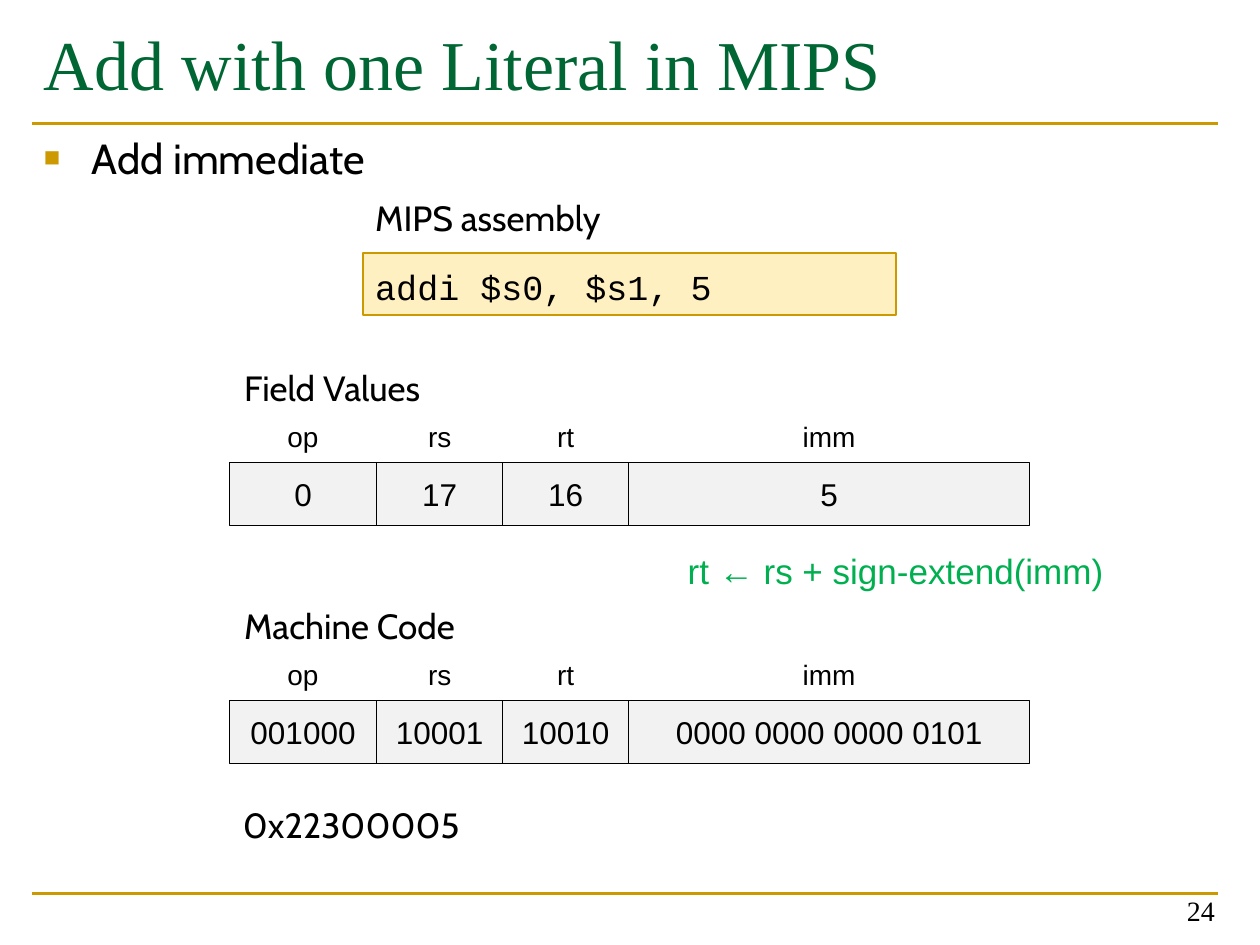
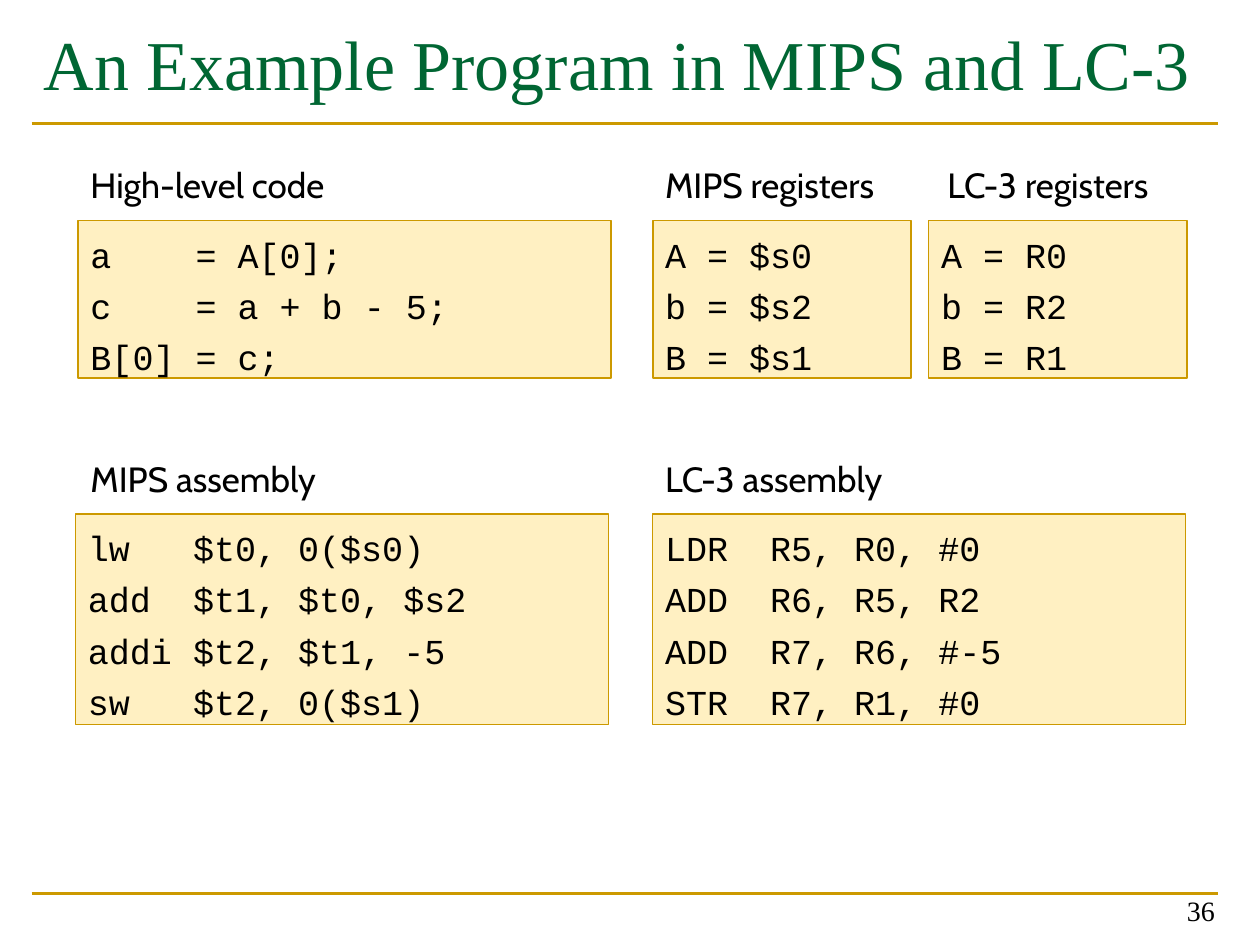
from dataclasses import dataclass
from itertools import accumulate
from lxml import etree
from pptx import Presentation
from pptx.dml.color import RGBColor
from pptx.enum import shapes, text
from pptx.oxml.ns import qn
from pptx.util import Inches, Pt


@dataclass(frozen=True)
class Theme:
    green: str = "006633"
    gold: str = "CC9900"
    cream: str = "FFF0C2"
    grey: str = "F2F2F2"
    note: str = "00B050"
    ink: str = "000000"
    serif: str = "Times New Roman"
    label: str = "Cabin"
    sans: str = "Arial"
    mono: str = "Courier New"
    title_size: float = 40
    lead_size: float = 24
    body_size: float = 20
    value_size: float = 18
    small_size: float = 16
    line_gap: float = 5.3
    code_inset: float = 0.1
    lead_inset: float = 0.05


THEME = Theme()
FIELD_NAMES = ("op", "rs", "rt", "imm")
FIELD_WIDTHS = (1.17, 1, 1, 3.18)
LEFT, MIDDLE, RIGHT = text.PP_ALIGN.LEFT, text.PP_ALIGN.CENTER, text.PP_ALIGN.RIGHT
TOP, CENTRE, BOTTOM = text.MSO_ANCHOR.TOP, text.MSO_ANCHOR.MIDDLE, text.MSO_ANCHOR.BOTTOM


def colour(value):
    return RGBColor.from_string(value)


def assign(target, values):
    for name, value in values.items():
        setattr(target, name, value)


def write(box, lines, font, size, ink=THEME.ink, align=LEFT, anchor=TOP, inset=0.05, wrap=True):
    frame = box.text_frame
    assign(frame, {"word_wrap": wrap, "vertical_anchor": anchor, "margin_top": Inches(inset)})
    for index, line in enumerate(lines):
        para = frame.paragraphs[0] if index == 0 else frame.add_paragraph()
        para.alignment = align
        if index:
            para.space_before = Pt(THEME.line_gap)
        span = para.add_run()
        span.text = line
        assign(span.font, {"name": font, "size": Pt(size)})
        span.font.color.rgb = colour(ink)


def add_text(page, place, line, font, size, **style):
    box = page.shapes.add_textbox(*map(Inches, place))
    write(box, [line], font, size, **style)
    return box


def add_panel(page, place, fill, border, weight):
    panel = page.shapes.add_shape(shapes.MSO_SHAPE.RECTANGLE, *map(Inches, place))
    panel.shadow.inherit = False
    panel.fill.solid()
    panel.fill.fore_color.rgb = colour(fill)
    panel.line.color.rgb = colour(border)
    panel.line.width = Pt(weight)
    return panel


def add_rule(page, top):
    ends = map(Inches, (0.25, top, 9.67, top))
    rule = page.shapes.add_connector(shapes.MSO_CONNECTOR.STRAIGHT, *ends)
    rule.line.color.rgb = colour(THEME.gold)
    rule.line.width = Pt(1.5)
    etree.SubElement(rule._element.spPr, qn("a:effectLst"))


def add_page(deck, title, number):
    page = deck.slides.add_slide(deck.slide_layouts[6])
    for top in (7.09, 0.98):
        add_rule(page, top)
    add_text(page, (0.25, 0, 9.42, 1), title, THEME.serif, THEME.title_size,
             ink=THEME.green, anchor=CENTRE)
    add_text(page, (7.41, 6.91, 2.33, 0.5), number, THEME.serif, THEME.small_size,
             align=RIGHT, anchor=BOTTOM)
    return page


def add_label(page, left, top, caption, width=4.23):
    add_text(page, (left, top, width, 0.5), caption, THEME.label, THEME.body_size)


def add_bullet(page, place, line):
    box = add_text(page, place, line, THEME.label, THEME.lead_size, inset=THEME.lead_inset)
    marks = box.text_frame.paragraphs[0]._p.get_or_add_pPr()
    marks.set("marL", str(Inches(0.38)))
    marks.set("indent", str(-Inches(0.38)))
    tint = etree.SubElement(marks, qn("a:buClr"))
    etree.SubElement(tint, qn("a:srgbClr"), val=THEME.gold)
    etree.SubElement(marks, qn("a:buSzPct"), val="65000")
    etree.SubElement(marks, qn("a:buFont"), typeface=THEME.sans)
    etree.SubElement(marks, qn("a:buChar"), char="■")


def add_listing(page, place, caption, lines, caption_shift=0):
    left, top, width, height = place
    add_label(page, left + caption_shift, top, caption, width)
    panel = add_panel(page, (left, top + 0.5, width, height), THEME.cream, THEME.gold, 1)
    write(panel, lines, THEME.mono, THEME.body_size, inset=THEME.code_inset)


def add_fields(page, left, top, caption, values):
    add_label(page, left + 0.02, top, caption)
    starts = accumulate(FIELD_WIDTHS, initial=left)
    for start, width, name, value in zip(starts, FIELD_WIDTHS, FIELD_NAMES, values):
        add_text(page, (start, top + 0.42, width, 0.37), name, THEME.sans,
                 THEME.small_size, align=MIDDLE, anchor=CENTRE)
        cell = add_panel(page, (start, top + 0.81, width, 0.5), THEME.grey, THEME.ink, 0.75)
        write(cell, [value], THEME.sans, THEME.value_size, align=MIDDLE, anchor=CENTRE)


def build_literal_page(deck):
    page = add_page(deck, "Add with one Literal in MIPS", "24")
    add_bullet(page, (0.25, 1, 9.42, 0.6), "Add immediate")
    add_listing(page, (2.88, 1.51, 4.23, 0.49), "MIPS assembly", ["addi $s0, $s1, 5"])
    add_fields(page, 1.82, 2.86, "Field Values", ("0", "17", "16", "5"))
    add_fields(page, 1.82, 4.75, "Machine Code",
               ("001000", "10001", "10010", "0000 0000 0000 0101"))
    add_label(page, 1.83, 6.33, "0x22300005")
    add_text(page, (5.36, 4.31, 3.52, 0.44), "rt ← rs + sign-extend(imm)", THEME.sans,
             THEME.body_size, ink=THEME.note, wrap=False)


def build_program_page(deck):
    page = add_page(deck, "An Example Program in MIPS and LC-3", "36")
    add_listing(page, (0.62, 1.25, 4.23, 1.25), "High-level code",
                ["a    = A[0];", "c    = a + b - 5;", "B[0] = c;"])
    add_listing(page, (5.18, 1.25, 2.05, 1.25), "MIPS registers",
                ["A = $s0", "b = $s2", "B = $s1"])
    add_listing(page, (7.37, 1.25, 2.05, 1.25), "LC-3 registers",
                ["A = R0", "b = R2", "B = R1"], caption_shift=0.05)
    add_listing(page, (0.6, 3.58, 4.23, 1.67), "MIPS assembly",
                ["lw   $t0, 0($s0)", "add  $t1, $t0, $s2", "addi $t2, $t1, -5",
                 "sw   $t2, 0($s1)"], caption_shift=0.02)
    add_listing(page, (5.18, 3.58, 4.23, 1.67), "LC-3 assembly",
                ["LDR  R5, R0, #0", "ADD  R6, R5, R2", "ADD  R7, R6, #-5",
                 "STR  R7, R1, #0"])


def main():
    deck = Presentation()
    assign(deck, {"slide_width": Inches(10), "slide_height": Inches(7.5)})
    build_literal_page(deck)
    build_program_page(deck)
    deck.save("out.pptx")


if __name__ == "__main__":
    main()
